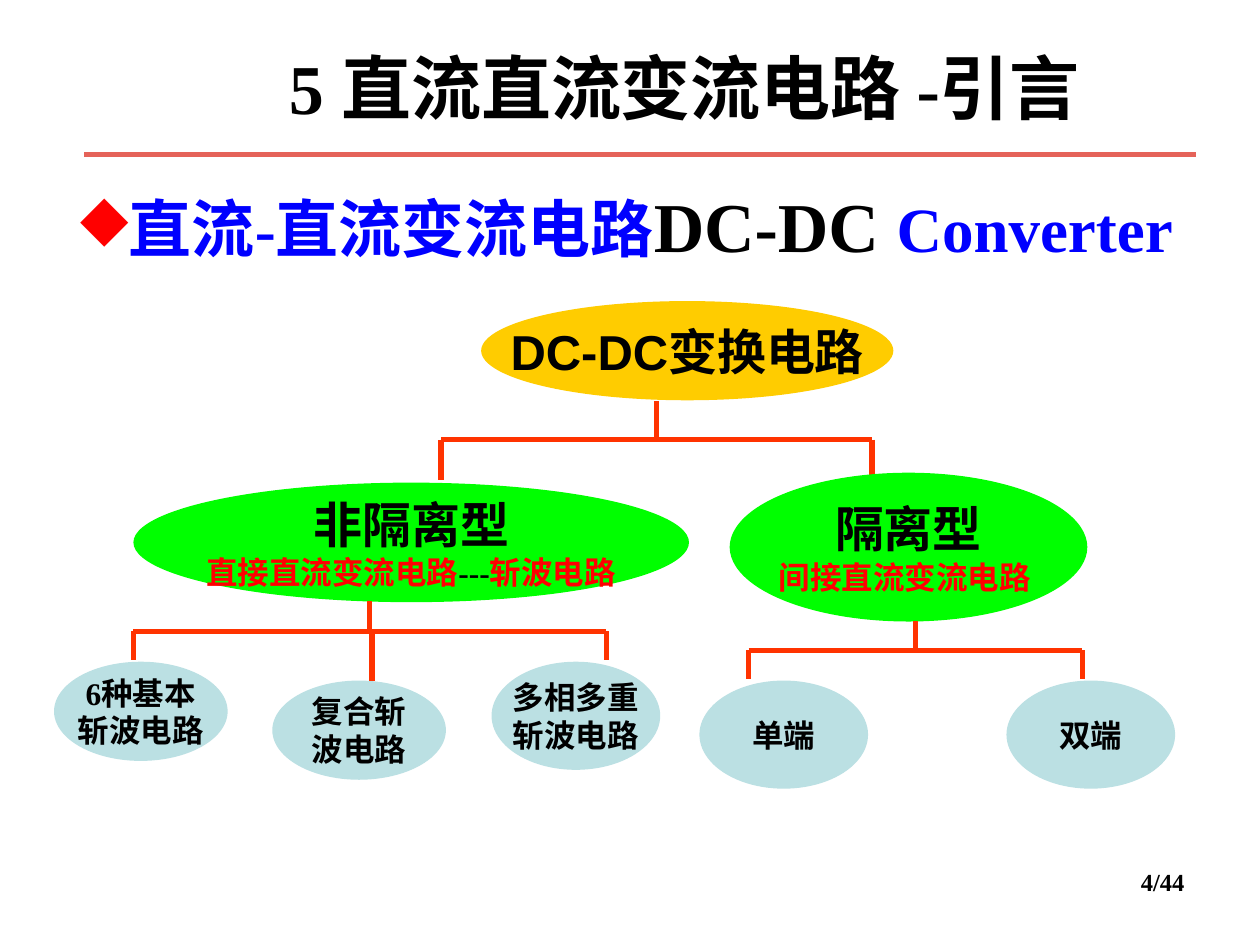
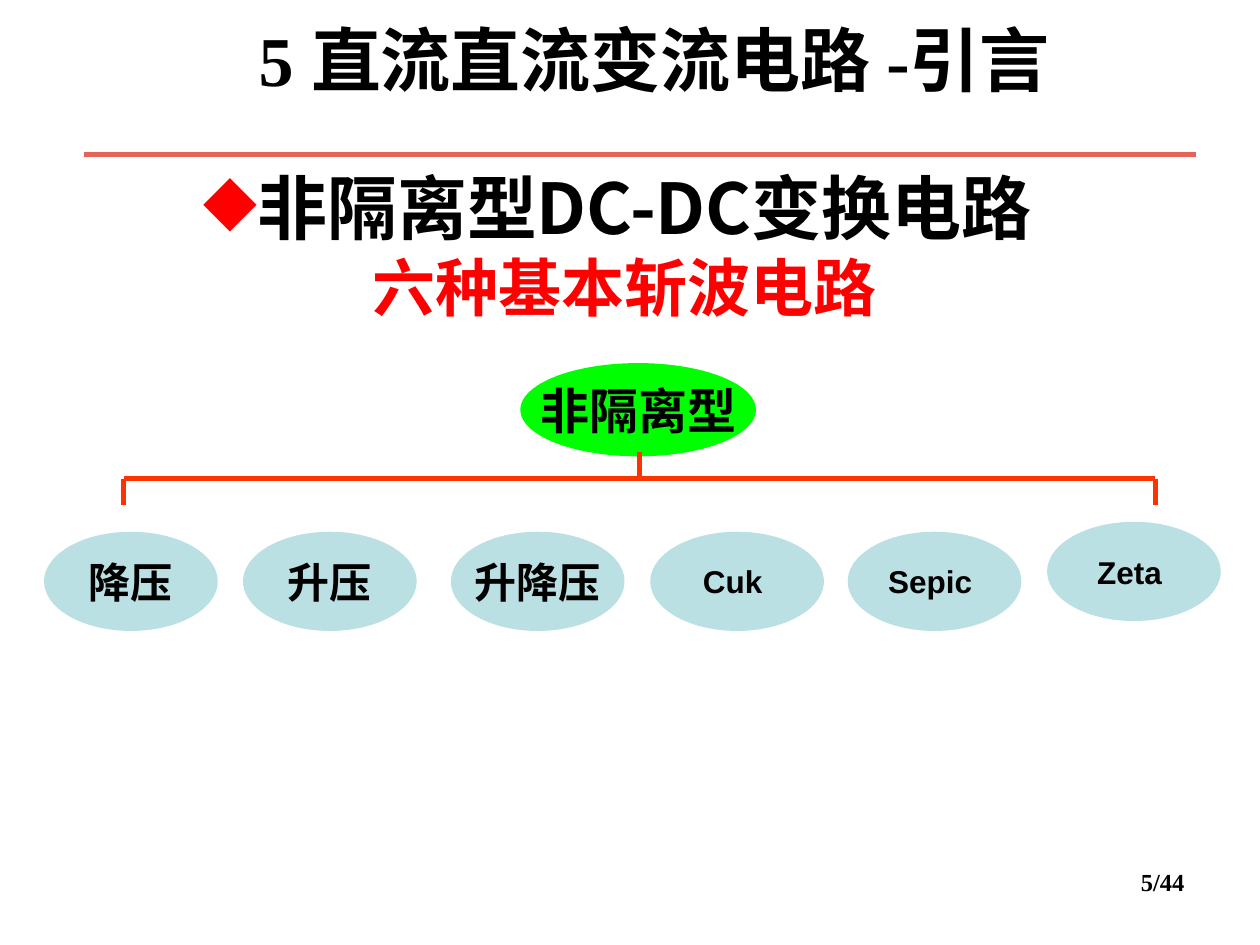
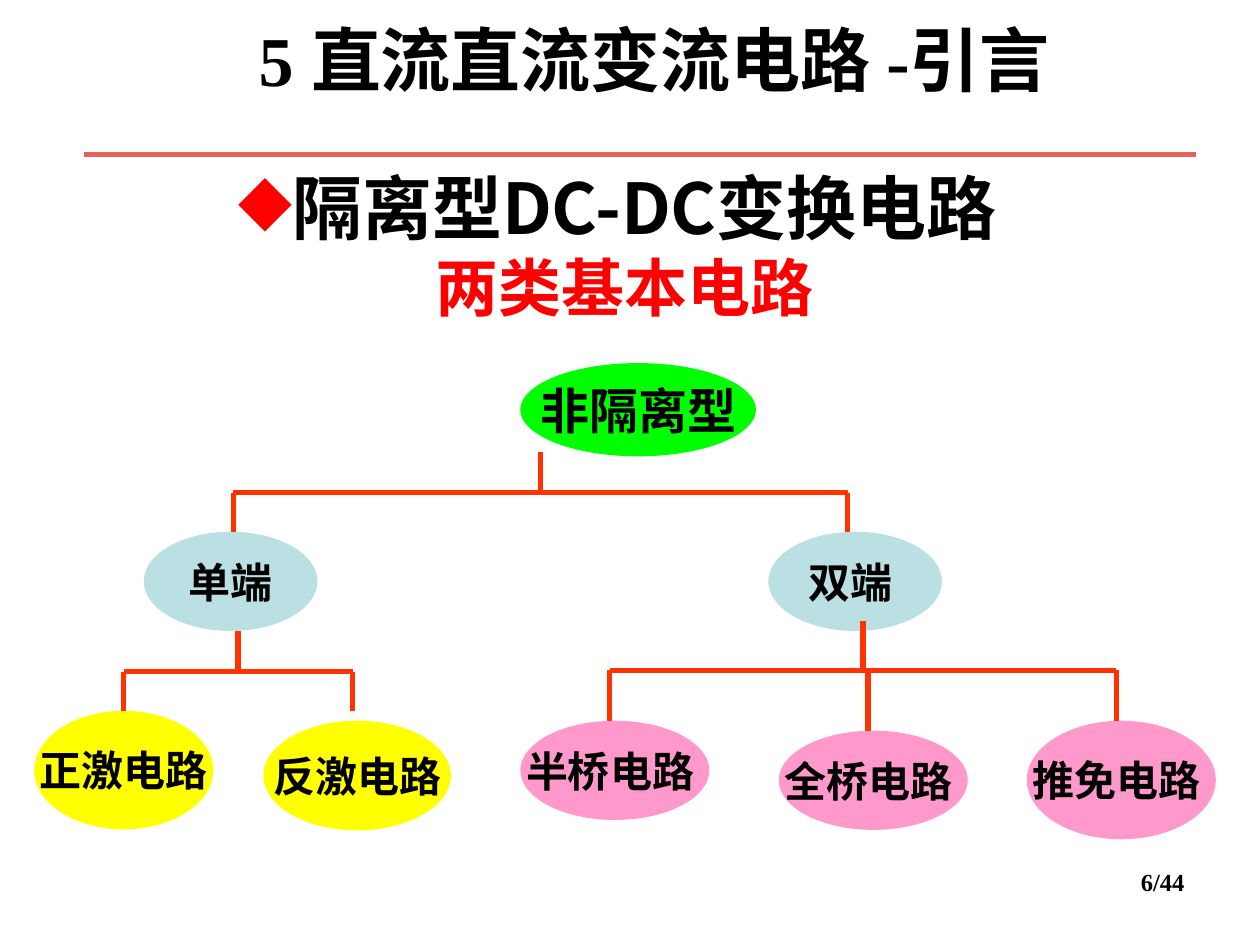
from lxml import etree
from pptx import Presentation
from pptx.dml.color import RGBColor
from pptx.enum.shapes import MSO_CONNECTOR as Line, MSO_SHAPE as Shape
from pptx.enum.text import MSO_ANCHOR as Anchor, PP_ALIGN as Align
from pptx.oxml.ns import qn
from pptx.util import Cm, Pt

BLACK, RED, BLUE = "000000", "FF0000", "0000FF"
RULE, BRANCH = "E56359", "FF3300"
GOLD, GREEN, PALE, YELLOW, PINK = "FFCC00", "00FF00", "BBE0E3", "FFFF00", "FF99CC"
SERIF, SANS, CJK = "Times New Roman", "Arial", "Noto Sans CJK SC"
TITLE = "5 直流直流变流电路 -引言"
PAGE_COUNT = 44
LEAF, END, BRIDGE = (3.5, 2), (3.4, 2.18), (3.81, 2)


def run(text, size, color=BLACK, font=SERIF):
    return text, size, color, font


def small(text, color=BLACK):
    return run(text, 18, color)


def latin(text):
    return run(text, 18, font=SANS)


def medium(text):
    return run(text, 24, font=SANS)


def large(text):
    return run(text, 28, font=SANS)


# Node: left, top, (width, height), fill, one list of runs per line.
# Bracket: left, right, stem top, bar, drop end, then an optional middle drop (x, end).
CENTRE_NODE = (10.49, 7.32, (4.75, 1.88), GREEN, [[large("非隔离型")]])
SLIDES = [
    {
        "page": 4, "title_at": (2.9, 1.42), "heading_at": (1.09, 2.72),
        "heading_align": Align.LEFT,
        "heading": [[run("直流-直流变流电路", 36, BLUE), run("DC-DC ", 40),
                     run("Converter", 36, BLUE)]],
        "brackets_behind": [(8.89, 17.58, 8.08, 8.86, 9.68)],
        "nodes": [
            (9.7, 6.07, (8.31, 2), GOLD, [[large("DC-DC变换电路")]]),
            (2.69, 9.73, (11.2, 2.41), GREEN,
             [[large("非隔离型")],
              [small("直接直流变流电路", RED), small("---"), small("斩波电路", RED)]]),
            (14.71, 9.53, (7.21, 3), GREEN,
             [[large("隔离型")], [small("间接直流变流电路 ", RED)]]),
            (1.09, 13.34, LEAF, PALE, [[small("6种基本")], [small("斩波电路")]]),
            (5.49, 13.72, LEAF, PALE, [[small("复合斩")], [small("波电路")]]),
            (9.91, 13.34, END, PALE, [[small("多相多重")], [small("斩波电路")]]),
            (14.1, 13.72, END, PALE, [[small("单端")]]),
            (20.29, 13.72, END, PALE, [[small("双端")]]),
        ],
        "brackets": [(2.69, 12.22, 12.12, 12.73, 13.31, (7.5, 13.72)),
                     (15.09, 21.82, 12.52, 13.11, 13.69)],
    },
    {
        "page": 5, "title_at": (2.29, 0.84), "heading_at": (0.51, 3.12),
        "heading_align": Align.CENTER,
        "heading": [[run("非隔离型DC-DC变换电路", 40, font=CJK)],
                    [run("六种基本斩波电路", 36, RED)]],
        "brackets_behind": [],
        "nodes": [
            CENTRE_NODE,
            (0.89, 10.72, LEAF, PALE, [[medium("降压")]]),
            (4.9, 10.72, LEAF, PALE, [[medium("升压")]]),
            (9.09, 10.72, LEAF, PALE, [[medium("升降压")]]),
            (13.11, 10.72, LEAF, PALE, [[latin("Cuk ")]]),
            (17.09, 10.72, LEAF, PALE, [[latin("Sepic ")]]),
            (21.11, 10.52, LEAF, PALE, [[latin("Zeta ")]]),
        ],
        "brackets": [(2.49, 23.29, 9.12, 9.65, 10.19)],
    },
    {
        "page": 6, "title_at": (2.29, 0.84), "heading_at": (0.51, 3.12),
        "heading_align": Align.CENTER,
        "heading": [[run("隔离型DC-DC变换电路", 40, font=CJK)],
                    [run("两类基本电路", 36, RED)]],
        "brackets_behind": [],
        "nodes": [
            CENTRE_NODE,
            (2.9, 10.72, LEAF, PALE, [[medium("单端")]]),
            (15.49, 10.72, LEAF, PALE, [[medium("双端 ")]]),
            (0.69, 14.33, (3.61, 2.39), YELLOW, [[medium("正激电路")]]),
            (5.31, 14.53, (3.78, 2.21), YELLOW, [[medium("反激电路")]]),
            (10.49, 14.53, BRIDGE, PINK, [[medium("半桥电路 ")]]),
            (15.7, 14.73, BRIDGE, PINK, [[medium("全桥电路 ")]]),
            (20.7, 14.53, (3.81, 2.39), PINK, [[medium("推免电路 ")]]),
        ],
        "brackets": [(4.7, 17.09, 9.12, 9.93, 10.72),
                     (2.49, 7.11, 12.73, 13.54, 14.33),
                     (12.29, 22.5, 12.52, 13.51, 14.53, (17.5, 14.73))],
    },
]


def rgb(color):
    return RGBColor.from_string(color)


def add_runs(paragraph, runs):
    for text, size, color, font in runs:
        piece = paragraph.add_run()
        piece.text = text
        for key, value in {"size": Pt(size), "bold": True, "name": font}.items():
            setattr(piece.font, key, value)
        piece.font.color.rgb = rgb(color)


def add_text(slide, left, top, width, height, runs, align, anchor=Anchor.MIDDLE):
    """Add a wrapped text box and return its first paragraph."""
    box = slide.shapes.add_textbox(Cm(left), Cm(top), Cm(width), Cm(height))
    box.text_frame.word_wrap = True
    box.text_frame.vertical_anchor = anchor
    paragraph = box.text_frame.paragraphs[0]
    paragraph.alignment = align
    add_runs(paragraph, runs)
    return paragraph


def add_heading(slide, content):
    first, *rest = content["heading"]
    paragraph = add_text(slide, *content["heading_at"], 23.6, 3.61, [],
                         content["heading_align"])
    properties = paragraph._p.get_or_add_pPr()
    properties.set("marL", str(Cm(0.56)))
    properties.set("indent", str(Cm(-0.28)))
    color = etree.SubElement(properties, qn("a:buClr"))
    etree.SubElement(color, qn("a:srgbClr"), val=RED)
    etree.SubElement(properties, qn("a:buChar"), char="◆")
    add_runs(paragraph, first)
    for runs in rest:
        paragraph.add_line_break()
        add_runs(paragraph, runs)


def add_line(slide, x1, y1, x2, y2, color=BRANCH):
    line = slide.shapes.add_connector(Line.STRAIGHT, Cm(x1), Cm(y1), Cm(x2), Cm(y2))
    line.line.color.rgb = rgb(color)
    line.line.width = Pt(3)
    etree.SubElement(line._element.spPr, qn("a:effectLst"))


def add_bracket(slide, left, right, stem_top, bar, drop_end, *middle_drops):
    stem = (left + right) / 2
    add_line(slide, stem, stem_top, stem, bar)
    add_line(slide, left, bar, right, bar)
    for x, end in ((left, drop_end), (right, drop_end), *middle_drops):
        add_line(slide, x, bar, x, end)


def add_node(slide, left, top, size, fill, lines):
    node = slide.shapes.add_shape(Shape.OVAL, Cm(left), Cm(top), *map(Cm, size))
    node.shadow.inherit = False
    node.fill.solid()
    node.fill.fore_color.rgb = rgb(fill)
    node.line.fill.background()
    frame = node.text_frame
    frame.word_wrap = False
    frame.vertical_anchor = Anchor.MIDDLE
    for number, runs in enumerate(lines):
        paragraph = frame.add_paragraph() if number else frame.paragraphs[0]
        paragraph.alignment = Align.CENTER
        add_runs(paragraph, runs)


def add_slide(deck, content):
    slide = deck.slides.add_slide(deck.slide_layouts[6])
    add_line(slide, 1.7, 3.12, 24.1, 3.12, RULE)
    add_text(slide, 18.21, 17.35, 5.92, 1.32,
             [run(f"{content['page']}/{PAGE_COUNT}", 14)], Align.RIGHT, Anchor.TOP)
    add_heading(slide, content)
    for bracket in content["brackets_behind"]:
        add_bracket(slide, *bracket)
    for node in content["nodes"]:
        add_node(slide, *node)
    for bracket in content["brackets"]:
        add_bracket(slide, *bracket)
    add_text(slide, *content["title_at"], 21.79, 0.66, [run(TITLE, 40)], Align.CENTER)


def main():
    deck = Presentation()
    deck.slide_width, deck.slide_height = Cm(25.4), Cm(19.05)
    for content in SLIDES:
        add_slide(deck, content)
    deck.save("out.pptx")


if __name__ == "__main__":
    main()
